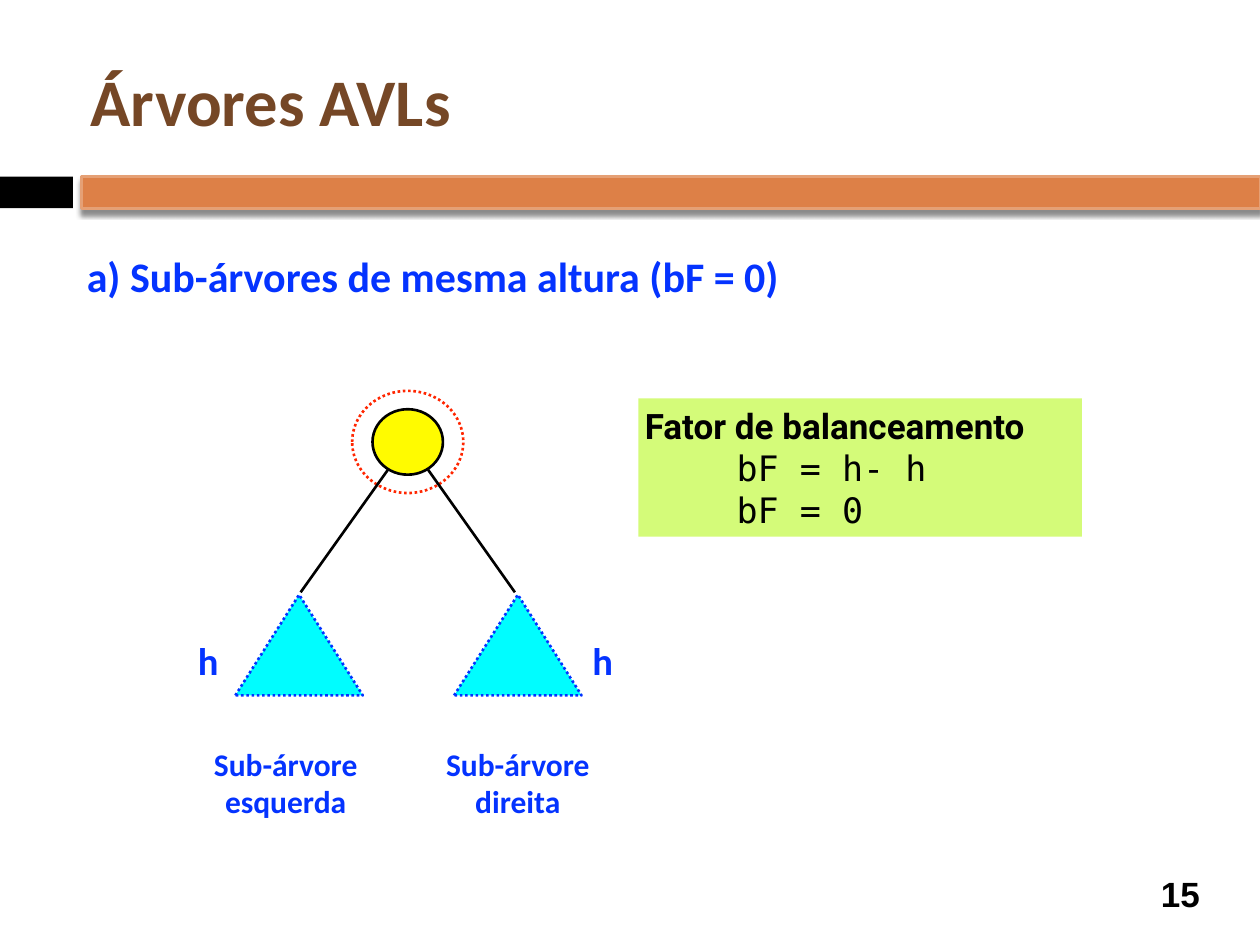
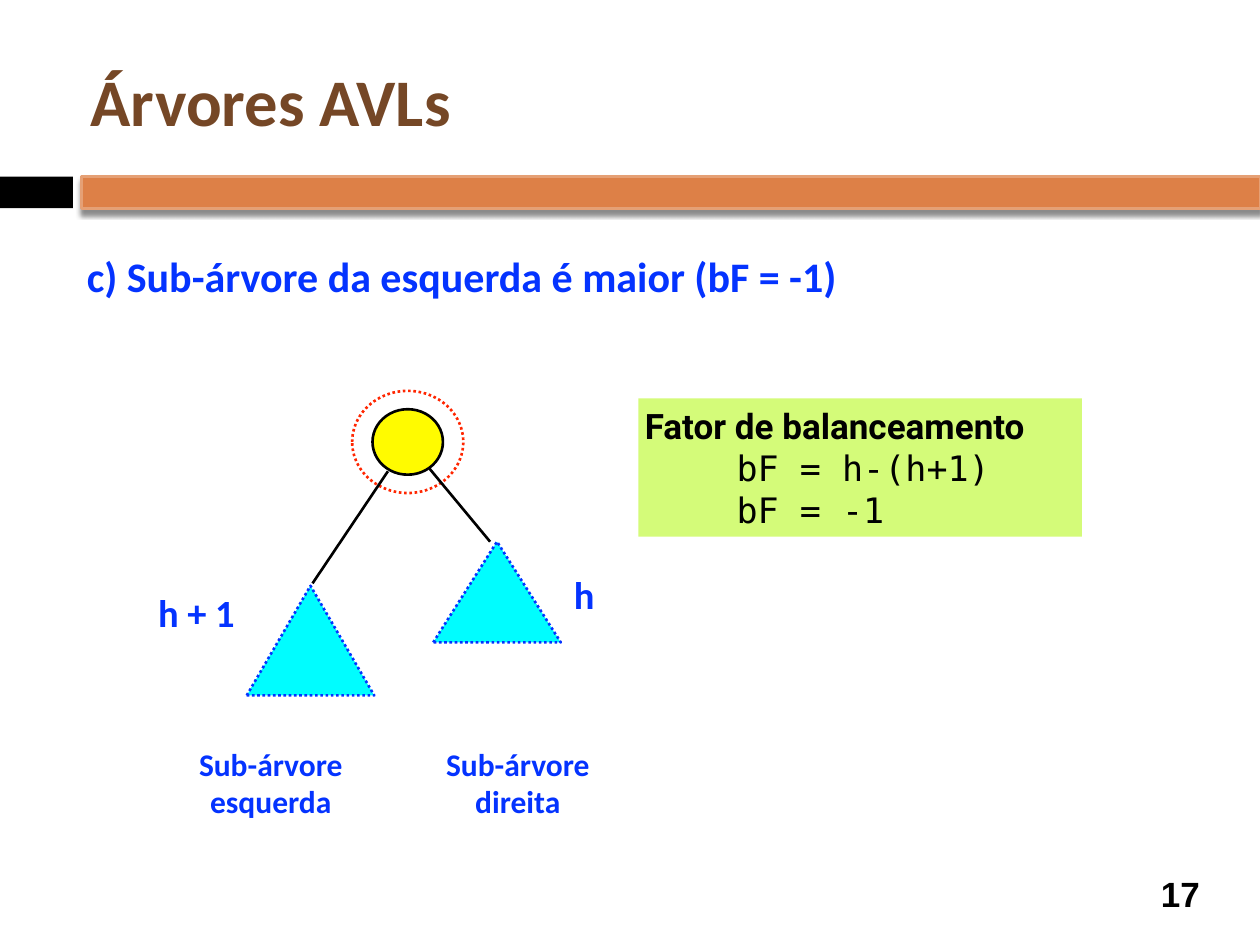
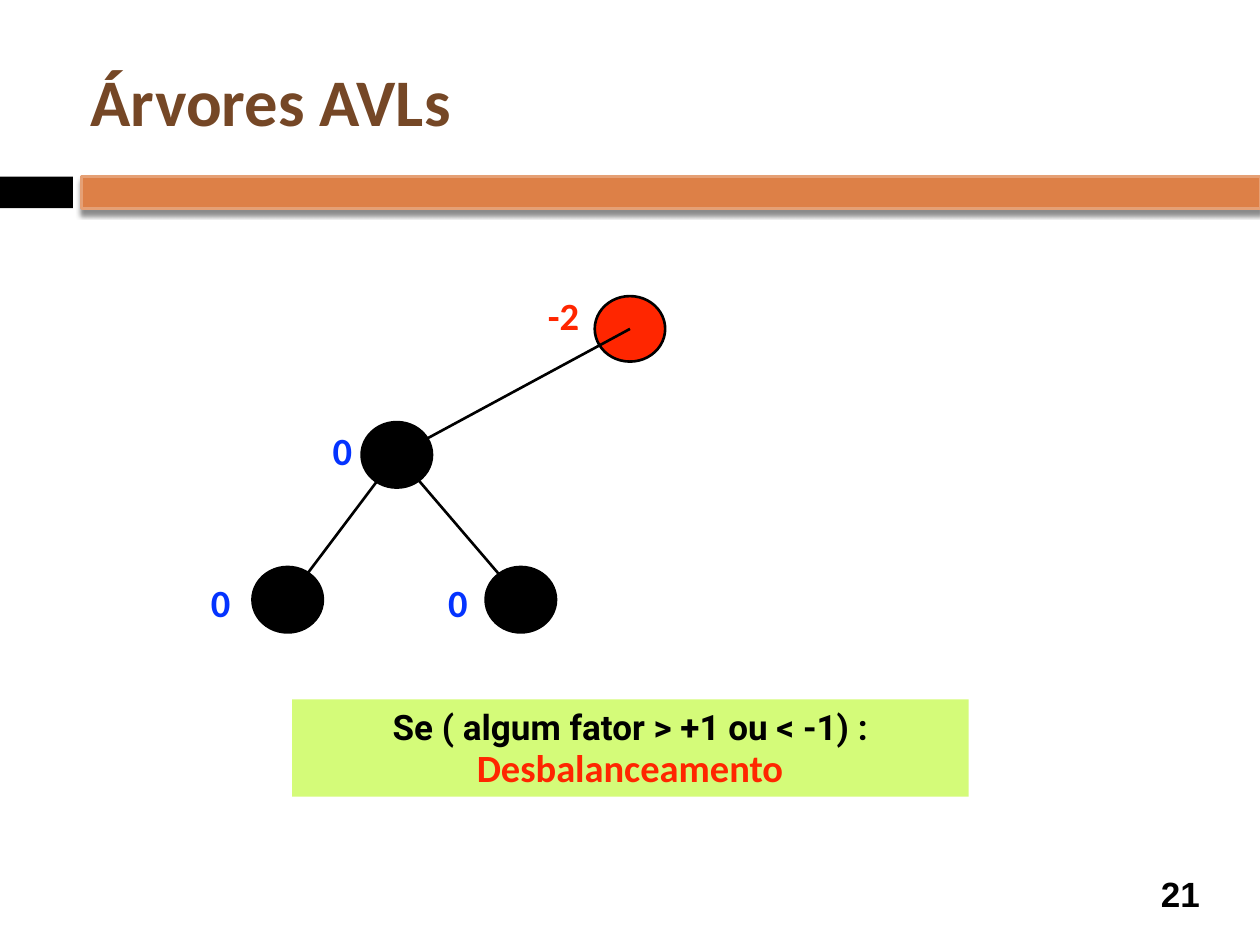
from lxml import etree
from pptx import Presentation
from pptx import util as u
from pptx.dml.color import RGBColor
from pptx.enum import dml, shapes, text
from pptx.oxml import parse_xml
from pptx.oxml.ns import nsdecls, qn

COLORS = {
    "black": "000000", "white": "FFFFFF", "title": "754726",
    "band": "DD8047", "band_edge": "E5A075", "blue": "0433FF",
    "red": "FF2600", "yellow": "FFFB00", "cyan": "00FDFF", "lime": "D4FB79",
}
SHAPE = shapes.MSO_SHAPE
ALIGN = text.PP_ALIGN
NODE_SIZE = (1.42, 1.32)
RING_SIZE = (2.24, 2.06)
ROOT = (8.22, 8.91)
TRIANGLE_WIDTH = 2.57


def rgb(name):
    """Return the named colour."""
    return RGBColor.from_string(COLORS[name])


def write(frame, content, size=22, font="Calibri", color="blue", bold=True,
          align=ALIGN.LEFT, anchor=text.MSO_ANCHOR.TOP, wrap=True, indent=0, first=True):
    """Write lines of text into a frame, after any present text unless first."""
    frame.word_wrap = wrap
    frame.vertical_anchor = anchor
    frame.margin_left = frame.margin_right = u.Cm(0.13)
    frame.margin_top = frame.margin_bottom = u.Cm(0.13)
    for number, line in enumerate(content.split("\n")):
        paragraph = frame.paragraphs[0] if first and number == 0 else frame.add_paragraph()
        paragraph.alignment = align
        if indent:
            paragraph._p.get_or_add_pPr().set("indent", str(u.Cm(indent)))
        run = paragraph.add_run()
        run.text = line
        run.font.size = u.Pt(size)
        run.font.name = font
        run.font.bold = bold
        run.font.color.rgb = rgb(color)


def add_text(slide, content, left, top, width, height, **style):
    """Add a text box."""
    box = slide.shapes.add_textbox(*map(u.Cm, (left, top, width, height)))
    write(box.text_frame, content, **style)


def add_label(slide, content, center, top, width=1.2, height=1.09, **style):
    """Add an unwrapped label centred on a horizontal position."""
    add_text(slide, content, center - width / 2, top, width, height,
             align=ALIGN.CENTER, wrap=False, **style)


def add_figure(slide, kind, left, top, width, height, fill=None, line=None, dotted=False):
    """Add a preset shape with optional fill and outline."""
    shape = slide.shapes.add_shape(kind, *map(u.Cm, (left, top, width, height)))
    shape.shadow.inherit = False
    if fill:
        shape.fill.solid()
        shape.fill.fore_color.rgb = rgb(fill)
    else:
        shape.fill.background()
    if line:
        shape.line.color.rgb = rgb(line)
        shape.line.width = u.Pt(1.5)
        if dotted:
            shape.line.dash_style = dml.MSO_LINE.ROUND_DOT
    else:
        shape.line.fill.background()
    return shape


def add_node(slide, center, size=NODE_SIZE, **style):
    """Add an ellipse around a centre point."""
    (x, y), (width, height) = center, size
    add_figure(slide, SHAPE.OVAL, x - width / 2, y - height / 2, width, height, **style)


def add_edge(slide, start, end):
    """Add a black line between two points."""
    edge = slide.shapes.add_connector(
        shapes.MSO_CONNECTOR.STRAIGHT, *map(u.Cm, (*start, *end)))
    edge.line.color.rgb = rgb("black")
    edge.line.width = u.Pt(1.5)
    etree.SubElement(edge._element.spPr, qn("a:effectLst"))


def add_band_shadow(band):
    """Give the band its soft shadow below."""
    effects = band._element.spPr.find(qn("a:effectLst"))
    effects.append(parse_xml(
        f'<a:outerShdw {nsdecls("a")} blurRad="{u.Pt(3)}" dist="{u.Pt(2.4)}" '
        f'dir="5400000" rotWithShape="0"><a:srgbClr val="{COLORS["black"]}">'
        '<a:alpha val="45000"/></a:srgbClr></a:outerShdw>'))


def add_base_slide(presentation, number):
    """Add a slide with the shared bands, title and slide number."""
    slide = presentation.slides.add_slide(presentation.slide_layouts[6])
    slide.background.fill.solid()
    slide.background.fill.fore_color.rgb = rgb("white")
    add_figure(slide, SHAPE.RECTANGLE, 0, 3.56, 1.47, 0.64, fill="black")
    band = add_figure(slide, SHAPE.RECTANGLE, 1.65, 3.56, 23.75, 0.64,
                      fill="band", line="band_edge")
    add_band_shadow(band)
    add_text(slide, str(number), 23.06, 17.5, 1.47, 1.04, size=20, font="Arial",
             color="black", align=ALIGN.CENTER, anchor=text.MSO_ANCHOR.MIDDLE)
    add_text(slide, "Árvores AVLs", 1.7, 0.64, 22.66, 2.74, size=38, color="title",
             anchor=text.MSO_ANCHOR.MIDDLE)
    return slide


def add_note(slide, content, left, top, width, height, align=ALIGN.LEFT):
    """Add a lime box with a bold line and return its text frame."""
    note = add_figure(slide, SHAPE.RECTANGLE, left, top, width, height, fill="lime")
    write(note.text_frame, content, size=20, font="Roboto", color="black", align=align)
    return note.text_frame


def add_subtree(slide, apex, base, edge, height_label, caption):
    """Add a triangular subtree with its edge, height and caption."""
    x, y = apex
    add_edge(slide, *edge)
    add_figure(slide, SHAPE.ISOSCELES_TRIANGLE, x - TRIANGLE_WIDTH / 2, y,
               TRIANGLE_WIDTH, base - y, fill="cyan", line="blue", dotted=True)
    add_label(slide, *height_label)
    name, center = caption
    add_label(slide, f"Sub-árvore\n{name}", center, 14.88, 3.2, 1.6, size=18)


def add_balance_slide(presentation, number, heading, formula, subtrees):
    """Add a slide on the balance factor of a root with two subtrees."""
    slide = add_base_slide(presentation, number)
    add_text(slide, heading, 1.62, 4.93, 18, 1.22, size=24)
    add_node(slide, ROOT, fill="yellow", line="black")
    add_node(slide, ROOT, RING_SIZE, line="red", dotted=True)
    frame = add_note(slide, "Fator de balanceamento", 12.87, 8.03, 8.94, 2.79)
    write(frame, formula, size=20, font="DejaVu Sans Mono", color="black",
          bold=False, indent=1.85, first=False)
    for subtree in subtrees:
        add_subtree(slide, *subtree)


def add_unbalanced_slide(presentation, number):
    """Add a slide with an unbalanced tree and its rule."""
    slide = add_base_slide(presentation, number)
    root, child, left_leaf, right_leaf = (12.7, 6.63), (8, 9.17), (5.8, 12.09), (10.5, 12.09)
    add_node(slide, root, fill="red", line="black")
    for center in (child, left_leaf, right_leaf):
        add_node(slide, center, fill="black", line="black")
        add_edge(slide, center, root if center == child else child)
    for center, top in ((4.45, 11.55), (9.23, 11.55), (6.9, 8.48)):
        add_label(slide, "0", center, top)
    add_label(slide, "-2", 11.36, 5.75, color="red")
    add_note(slide, "Se ( algum fator > +1 ou < -1) :", 5.89, 14.1, 13.64, 1.96, ALIGN.CENTER)
    add_label(slide, "Desbalanceamento", 12.7, 14.86, 8, color="red")


def main():
    """Build and save the presentation."""
    presentation = Presentation()
    presentation.slide_width, presentation.slide_height = u.Cm(25.4), u.Cm(19.05)
    add_balance_slide(
        presentation, 15, "a) Sub-árvores de mesma altura (bF = 0)", "bF = h- h\nbF = 0",
        [((6.03, 11.99), 14.02, ((6.06, 11.94), (7.82, 9.47)),
          ("h", 4.2, 12.71), ("esquerda", 5.76)),
         ((10.44, 11.99), 14.02, ((10.38, 11.94), (8.63, 9.47)),
          ("h", 12.15, 12.71), ("direita", 10.44))])
    add_balance_slide(
        presentation, 17, "c) Sub-árvore da esquerda é maior (bF = -1)",
        "bF = h-(h+1)\nbF = -1",
        [((6.26, 11.81), 14.02, ((6.3, 11.76), (7.82, 9.5)),
          ("h + 1", 3.96, 11.74, 2.26), ("esquerda", 5.46)),
         ((10.02, 10.92), 12.95, ((9.88, 10.92), (8.66, 9.45)),
          ("h", 11.78, 11.38), ("direita", 10.44))])
    add_unbalanced_slide(presentation, 21)
    presentation.save("out.pptx")


if __name__ == "__main__":
    main()
